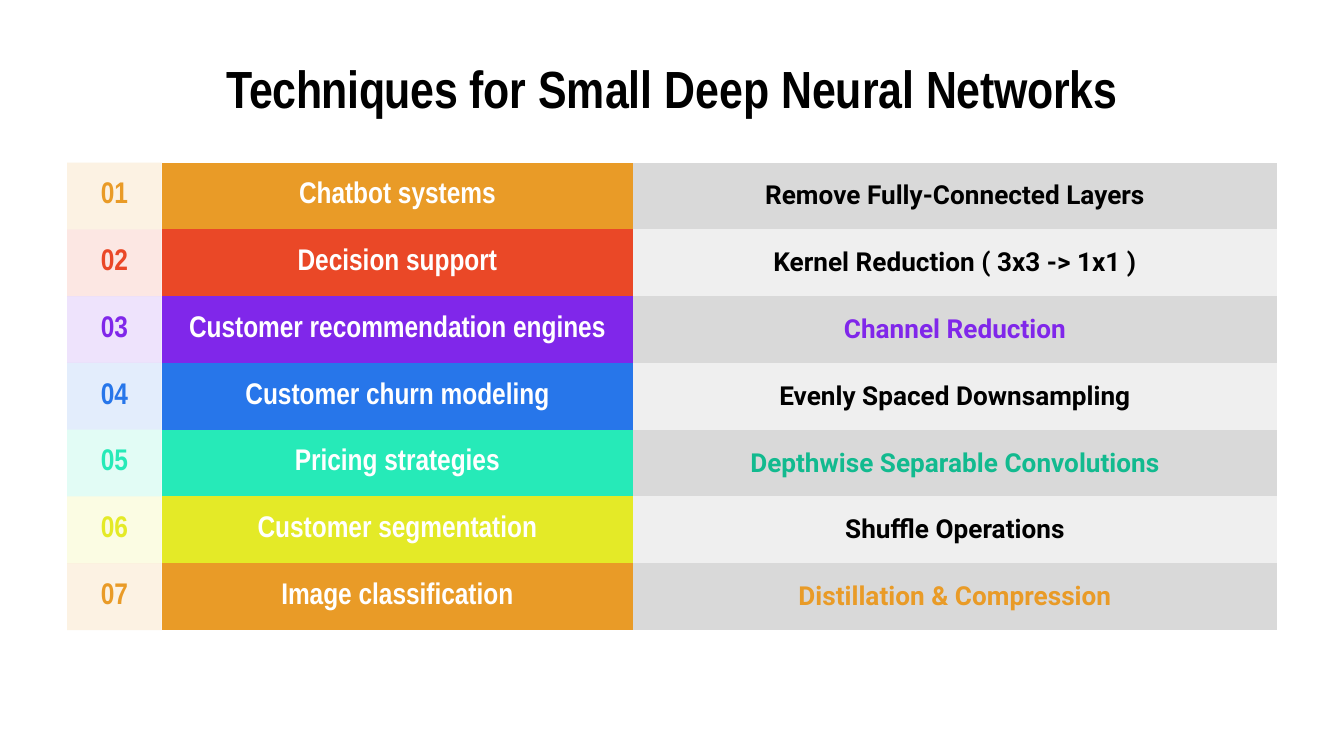
from lxml.etree import SubElement
from pptx import Presentation
from pptx.dml.color import RGBColor
from pptx.enum.text import MSO_ANCHOR as Anchor, MSO_AUTO_SIZE as AutoSize, PP_ALIGN as Align
from pptx.oxml.ns import qn
from pptx.util import Inches, Pt

WIDTH = Inches(10)
HEIGHT = WIDTH * 9 // 16
MARGIN = 0.05
NO_GRID_STYLE = "{2D5ABB26-0587-4C30-8999-92F81FD0307C}"
HEAD_FONT, BODY_FONT = "Arial Narrow", "Roboto"
BLACK, WHITE = "000000", "FFFFFF"
BANDS = "D9D9D9", "EFEFEF"
COLUMN_SHARES = 0.078, 0.39, 0.532
TITLE_RUNS = ("Techniques ", -20), ("for Small Deep Neural ", 0), ("Networks", -10)
ROWS = (
    ("Chatbot systems", "E99B27", "Remove Fully-Connected Layers", BLACK),
    ("Decision support", "EA4827", "Kernel Reduction ( 3x3 -> 1x1 )", BLACK),
    ("Customer recommendation engines", "8027EA", "Channel Reduction", "8027EA"),
    ("Customer churn modeling", "2776EA", "Evenly Spaced Downsampling", BLACK),
    ("Pricing strategies", "26EAB8", "Depthwise Separable Convolutions", "12BA8F"),
    ("Customer segmentation", "E4EA27", "Shuffle Operations", BLACK),
    ("Image classification", "E99B27", "Distillation & Compression", "E99B27"),
)


def paint(target, color, alpha=None):
    """Fill a cell with a hex colour, optionally at a percentage of opacity."""
    target.fill.solid()
    target.fill.fore_color.rgb = RGBColor.from_string(color)
    if alpha is not None:
        rgb = target.fill._xPr.find(".//" + qn("a:srgbClr"))
        SubElement(rgb, qn("a:alpha"), val=str(alpha * 1000))


def style(p, font, size, color):
    """Centre a paragraph and set its bold font."""
    p.alignment = Align.CENTER
    p.font.name, p.font.size, p.font.bold = font, Pt(size), True
    p.font.color.rgb = RGBColor.from_string(color)


def inset(box):
    """Give a cell or text frame equal margins and middle anchoring."""
    box.margin_left = box.margin_right = Inches(0.1)
    box.margin_top = box.margin_bottom = Inches(0.1)
    box.vertical_anchor = Anchor.MIDDLE


def add_title(s, left, top, width, height):
    """Place the slide title with its slightly tightened runs."""
    title = s.shapes.title
    title.left, title.top, title.width, title.height = left, top, width, height
    tf = title.text_frame
    tf.word_wrap, tf.auto_size = True, AutoSize.NONE
    inset(tf)
    p = tf.paragraphs[0]
    style(p, HEAD_FONT, 28, BLACK)
    for text, spacing in TITLE_RUNS:
        r = p.add_run()
        r.text = text
        r.font._element.set("spc", str(spacing))


def fill_cell(cell, text, font, size, color, fill, alpha=None):
    """Write one table cell and colour its background."""
    cell.text = text
    inset(cell)
    style(cell.text_frame.paragraphs[0], font, size, color)
    paint(cell, fill, alpha)


def add_techniques(s, left, top, width, height):
    """Build the numbered table of applications and techniques."""
    frame = s.shapes.add_table(len(ROWS), len(COLUMN_SHARES), left, top, width, height)
    table = frame.table
    table.first_row = table.horz_banding = False
    table._tbl.tblPr.find(qn("a:tableStyleId")).text = NO_GRID_STYLE
    for column, share in zip(table.columns, COLUMN_SHARES):
        column.width = int(width * share)
    for i, (use, accent, technique, color) in enumerate(ROWS):
        table.rows[i].height = height // len(ROWS)
        fill_cell(table.cell(i, 0), f"{i + 1:02}", HEAD_FONT, 16, accent, accent, 13)
        fill_cell(table.cell(i, 1), use, HEAD_FONT, 16, WHITE, accent)
        fill_cell(table.cell(i, 2), technique, BODY_FONT, 14, color, BANDS[i % 2])


def main():
    """Create the slide and save it."""
    prs = Presentation()
    prs.slide_width, prs.slide_height = WIDTH, HEIGHT
    s = prs.slides.add_slide(prs.slide_layouts[5])
    left, width = int(WIDTH * MARGIN), int(WIDTH * (1 - 2 * MARGIN))
    add_title(s, left, int(HEIGHT * 0.08), width, Inches(0.41))
    add_techniques(s, left, Inches(1.21), width, Inches(3.48))
    prs.save("out.pptx")


if __name__ == "__main__":
    main()
